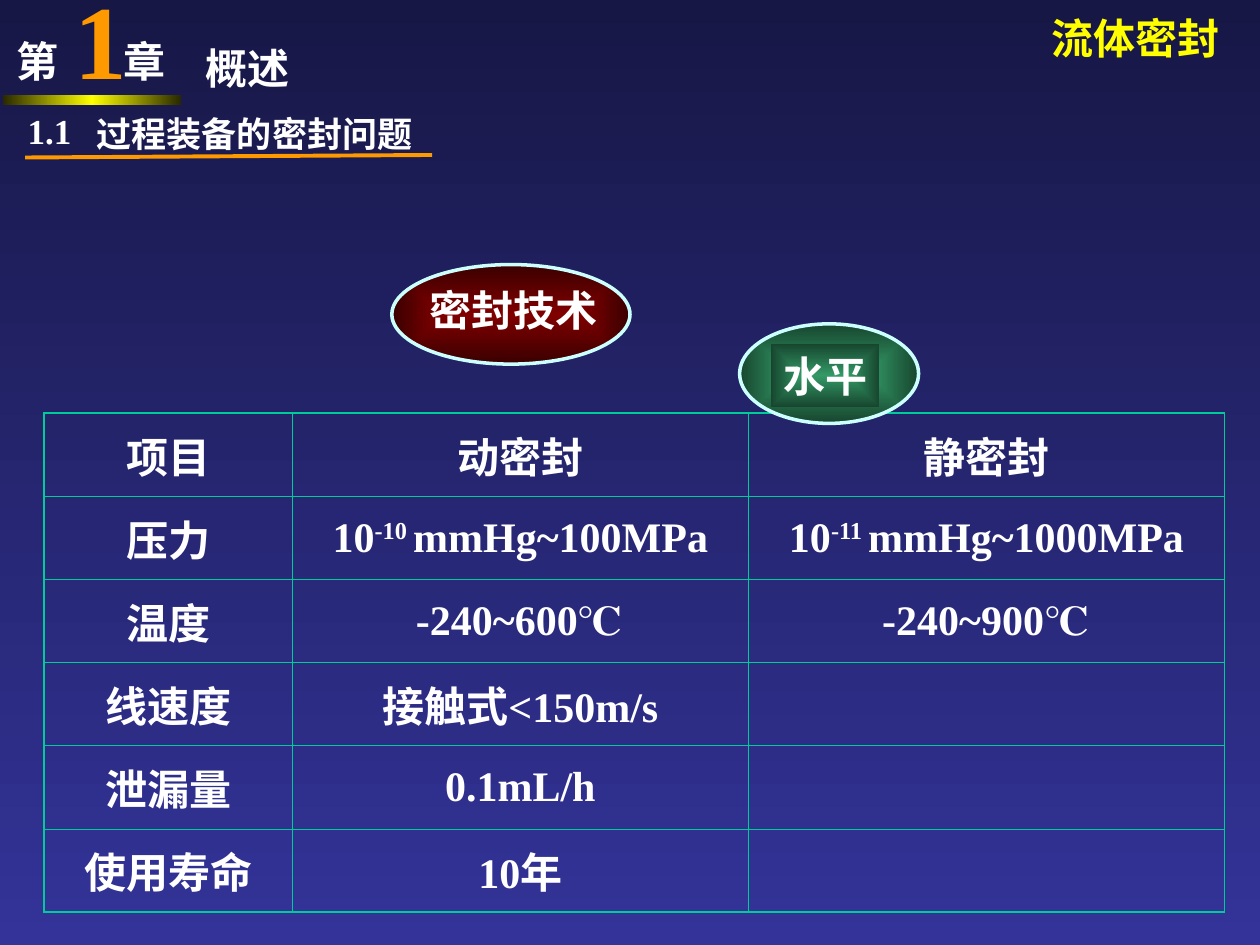
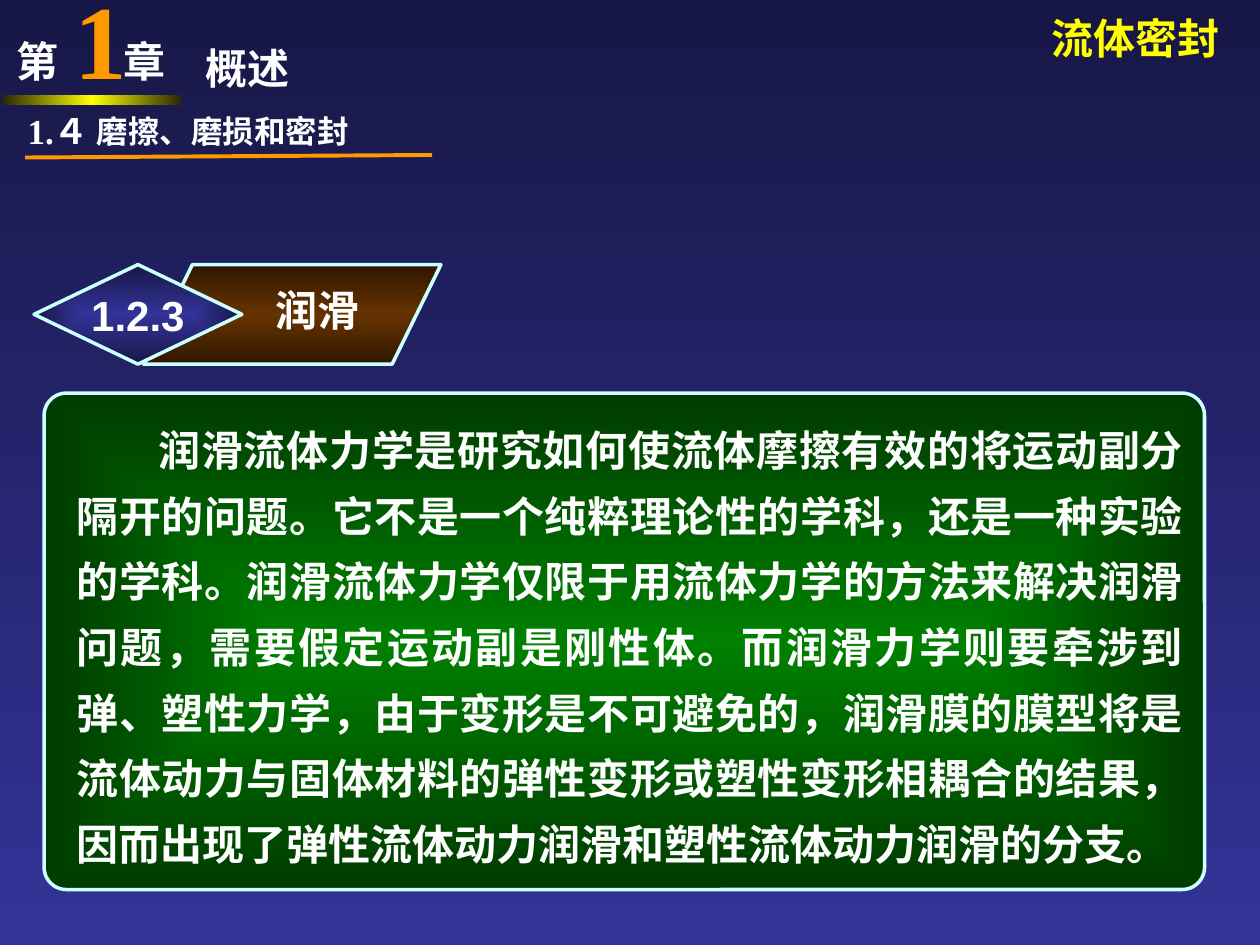
from lxml import etree
from pptx import Presentation
from pptx import util as u
from pptx.dml.color import RGBColor
from pptx.enum import shapes, text
from pptx.oxml import ns

WHITE, YELLOW, ORANGE = "FFFFFF", "FFFF00", "FF9900"
NAVY, BLUE = "171746", "333399"
OUTLINE, GRID = "CCFFFF", "00CC99"
SERIF, SANS, CJK = "Times New Roman", "Arial", "Noto Sans CJK SC"
SHAPE = shapes.MSO_SHAPE
ALIGN = text.PP_ALIGN

COLUMN_WIDTHS = (1.97, 3.62, 3.78)
ROW_HEIGHT = 0.66
SEAL_LEVELS = [
    ("项目", "动密封", "静密封"),
    ("压力", "10^-10 ^mmHg~100MPa", "10^-11 ^mmHg~1000MPa"),
    ("温度", "-240~600℃", "-240~900℃"),
    ("线速度", "接触式<150m/s", ""),
    ("泄漏量", "0.1mL/h", ""),
    ("使用寿命", "10年", ""),
]
LUBRICATION = (
    "润滑流体力学是研究如何使流体摩擦有效的将运动副分隔开的问题。"
    "它不是一个纯粹理论性的学科，还是一种实验的学科。"
    "润滑流体力学仅限于用流体力学的方法来解决润滑问题，需要假定运动副是刚性体。"
    "而润滑力学则要牵涉到弹、塑性力学，由于变形是不可避免的，"
    "润滑膜的膜型将是流体动力与固体材料的弹性变形或塑性变形相耦合的结果，"
    "因而出现了弹性流体动力润滑和塑性流体动力润滑的分支。"
)


def rgb(color):
    return RGBColor.from_string(color)


def inches(*lengths):
    return [u.Inches(length) for length in lengths]


def add_child(parent, tag, **attributes):
    child = etree.SubElement(parent, ns.qn(tag))
    for name, value in attributes.items():
        child.set(name, str(value))
    return child


def set_gradient(owner, fill, colors, angle=None):
    """Spread colors evenly: along angle, or from the centre outwards if it is None."""
    fill.gradient()
    gradient = owner.find(".//" + ns.qn("a:gradFill"))
    for child in list(gradient):
        gradient.remove(child)
    stops = add_child(gradient, "a:gsLst")
    for index, color in enumerate(colors):
        stop = add_child(stops, "a:gs", pos=100000 * index // (len(colors) - 1))
        add_child(stop, "a:srgbClr", val=color)
    if angle is None:
        centre = add_child(gradient, "a:path", path="rect")
        add_child(centre, "a:fillToRect", l=50000, t=50000, r=50000, b=50000)
    else:
        add_child(gradient, "a:lin", ang=angle * 60000, scaled=1)


def write(frame, content, size=24, font=SERIF, east_asian=SANS, color=WHITE,
          align=ALIGN.LEFT, spacing=None, indent=0, tab=None):
    """Fill a text frame with one paragraph; parts between ^ marks are superscript."""
    paragraph = frame.paragraphs[0]
    paragraph.alignment = align
    if spacing:
        paragraph.line_spacing = u.Pt(spacing)
    properties = paragraph._p.get_or_add_pPr()
    properties.set("hangingPunct", "0")
    if indent:
        properties.set("indent", str(u.Inches(indent)))
    if tab:
        add_child(add_child(properties, "a:tabLst"), "a:tab", pos=u.Inches(tab), algn="l")
    for index, part in enumerate(content.split("^")):
        run = paragraph.add_run()
        run.text = part
        run.font.size = u.Pt(size)
        run.font.bold = True
        run.font.name = font
        run.font.color.rgb = rgb(color)
        run_properties = run._r.get_or_add_rPr()
        add_child(run_properties, "a:ea", typeface=east_asian)
        if index % 2:
            run_properties.set("baseline", "30000")


def add_text(slide, box, content, wrap=True, margin=0.05, **style):
    frame = slide.shapes.add_textbox(*inches(*box)).text_frame
    frame.word_wrap = wrap
    frame.margin_top = frame.margin_bottom = u.Inches(margin)
    write(frame, content, **style)


def add_gradient_shape(slide, kind, box, colors, angle=None, outline=OUTLINE,
                       adjustment=None):
    shape = slide.shapes.add_shape(kind, *inches(*box))
    shape.shadow.inherit = False
    if adjustment is not None:
        shape.adjustments[0] = adjustment
    set_gradient(shape.element, shape.fill, colors, angle)
    if outline:
        shape.line.color.rgb = rgb(outline)
        shape.line.width = u.Pt(2)
    else:
        shape.line.fill.background()
    return shape


def add_label(shape, content):
    shape.text_frame.word_wrap = False
    write(shape.text_frame, content, font=SANS, align=ALIGN.CENTER)


def add_rule(slide, start, end):
    line = slide.shapes.add_connector(shapes.MSO_CONNECTOR.STRAIGHT,
                                      *inches(*start, *end))
    line.line.color.rgb = rgb(ORANGE)
    line.line.width = u.Pt(2.25)
    add_child(line.element.spPr, "a:effectLst")


def add_section_slide(presentation, number, title, title_size):
    """Add a slide with the chapter heading, course name and section title."""
    slide = presentation.slides.add_slide(presentation.slide_layouts[6])
    add_text(slide, (0.67, 0.84, 2.76, 0.43), title, size=title_size)
    add_text(slide, (0.03, 0.23, 1.75, 0.5), "第\t章", tab=0.85)
    add_text(slide, (0.49, -0.2, 0.92, 1), "1", margin=0, size=60, color=ORANGE)
    add_gradient_shape(slide, SHAPE.RECTANGLE, (0.02, 0.75, 1.42, 0.08),
                       ("282800", YELLOW, "282800"), angle=0, outline=None)
    add_text(slide, (8.25, 0.05, 1.57, 0.47), "流体密封", wrap=False,
             font=CJK, color=YELLOW)
    add_text(slide, (0.12, 0.82, 1.08, 0.44), number, size=20)
    add_rule(slide, (0.2, 1.25), (3.43, 1.23))
    add_text(slide, (1.53, 0.29, 0.98, 0.5), "概述")
    return slide


def set_borders(cell, outer_sides):
    properties = cell._tc.get_or_add_tcPr()
    for position, side in enumerate("LRTB"):
        width = u.Pt(1.08 if side in outer_sides else 0.45)
        line = etree.Element(ns.qn(f"a:ln{side}"), w=str(width))
        add_child(add_child(line, "a:solidFill"), "a:srgbClr", val=GRID)
        properties.insert(position, line)


def add_grid_table(slide, left, top, rows):
    last_row, last_column = len(rows) - 1, len(COLUMN_WIDTHS) - 1
    table = slide.shapes.add_table(
        len(rows), len(COLUMN_WIDTHS),
        *inches(left, top, sum(COLUMN_WIDTHS), ROW_HEIGHT * len(rows))).table
    table.first_row = table.horz_banding = False
    for column, width in zip(table.columns, COLUMN_WIDTHS):
        column.width = u.Inches(width)
    for r, row in enumerate(rows):
        table.rows[r].height = u.Inches(ROW_HEIGHT)
        for c, content in enumerate(row):
            cell = table.cell(r, c)
            cell.fill.background()
            cell.vertical_anchor = text.MSO_ANCHOR.MIDDLE
            outer = {"L": c == 0, "R": c == last_column, "T": r == 0, "B": r == last_row}
            set_borders(cell, [side for side, is_outer in outer.items() if is_outer])
            if content:
                write(cell.text_frame, content, east_asian=CJK, align=ALIGN.CENTER)


def build_seal_levels(presentation):
    slide = add_section_slide(presentation, "1.1", "过程装备的密封问题", 20)
    add_gradient_shape(slide, SHAPE.OVAL, (3.11, 2.1, 1.89, 0.79), ("800000", "3B0000"))
    add_text(slide, (3.31, 2.21, 1.53, 0.5), "密封技术", wrap=False,
             font=SANS, align=ALIGN.CENTER)
    add_grid_table(slide, 0.35, 3.28, SEAL_LEVELS)
    greens = ("339966", "17462F")
    add_gradient_shape(slide, SHAPE.OVAL, (5.87, 2.57, 1.42, 0.79), greens)
    level = add_gradient_shape(slide, SHAPE.RECTANGLE, (6.12, 2.73, 0.86, 0.5),
                               greens, outline=None)
    add_label(level, "水平")


def build_lubrication(presentation):
    slide = add_section_slide(presentation, "1.４", "磨擦、磨损和密封", 18)
    add_gradient_shape(slide, SHAPE.ROUNDED_RECTANGLE, (0.35, 3.12, 9.21, 3.94),
                       ("008000", "003B00"), adjustment=0.045)
    add_gradient_shape(slide, SHAPE.PARALLELOGRAM, (1.14, 2.1, 2.36, 0.79),
                       ("2F1700", "663300", "2F1700"), angle=90, adjustment=0.49)
    number = add_gradient_shape(slide, SHAPE.DIAMOND, (0.27, 2.1, 1.65, 0.79),
                                (BLUE, NAVY))
    add_label(number, "1.2.3")
    add_text(slide, (2.02, 2.21, 1, 0.5), "润滑", wrap=False,
             font=SANS, align=ALIGN.CENTER)
    add_text(slide, (0.51, 3.2, 8.98, 3.74), LUBRICATION, font=SANS,
             align=ALIGN.JUSTIFY, spacing=37.5, indent=0.65)


def main():
    presentation = Presentation()
    presentation.slide_width, presentation.slide_height = inches(10, 7.5)
    master = presentation.slide_master
    set_gradient(master.element, master.background.fill, (NAVY, BLUE), angle=90)
    build_seal_levels(presentation)
    build_lubrication(presentation)
    presentation.save("out.pptx")


if __name__ == "__main__":
    main()
